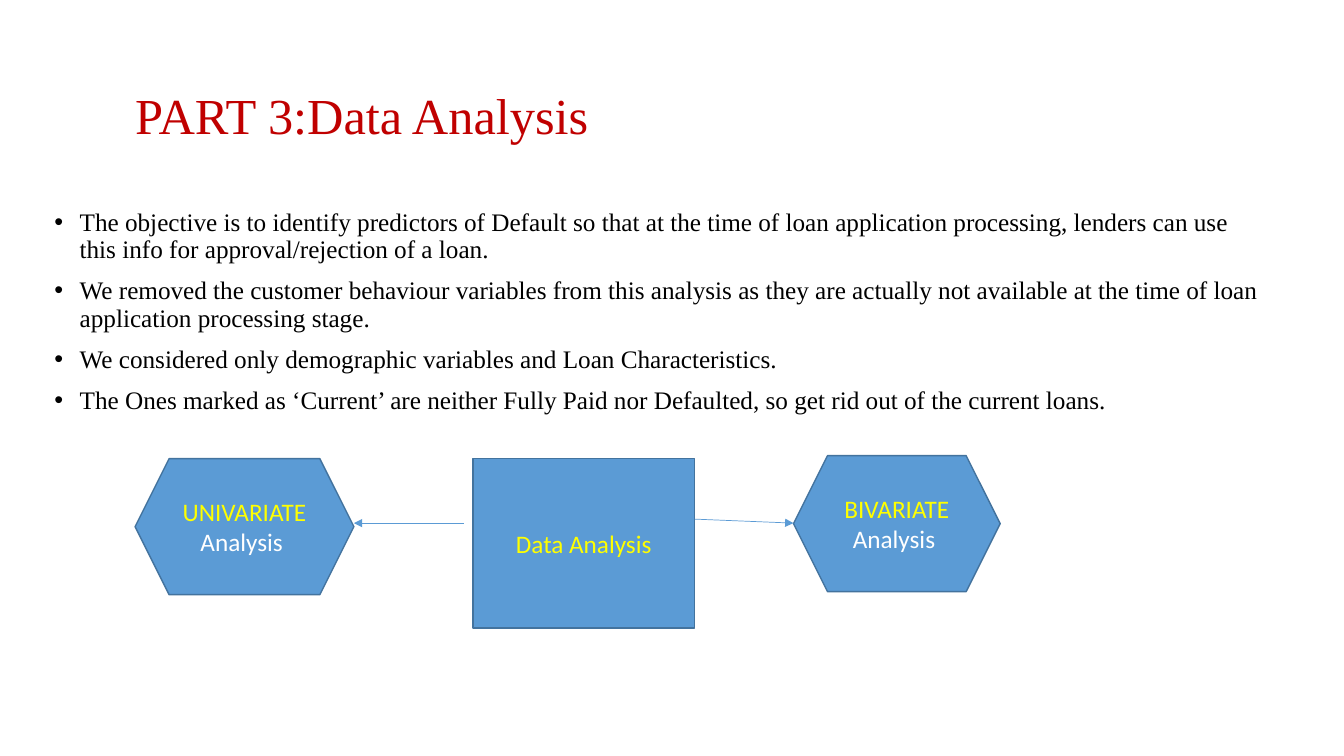
from pptx import Presentation
from pptx.dml.color import RGBColor
from pptx.enum.shapes import MSO_CONNECTOR, MSO_SHAPE
from pptx.enum.text import MSO_ANCHOR, MSO_AUTO_SIZE, PP_ALIGN
from pptx.oxml.ns import qn
from pptx.util import Inches, Pt
from lxml import etree

RECTANGLE, HEXAGON = MSO_SHAPE.RECTANGLE, MSO_SHAPE.HEXAGON
STRAIGHT = MSO_CONNECTOR.STRAIGHT
TOP, MIDDLE = MSO_ANCHOR.TOP, MSO_ANCHOR.MIDDLE
LEFT, CENTER = PP_ALIGN.LEFT, PP_ALIGN.CENTER
NO_AUTOFIT = MSO_AUTO_SIZE.NONE

BLACK = RGBColor(0x00, 0x00, 0x00)
WHITE = RGBColor(0xFF, 0xFF, 0xFF)
RED = RGBColor(0xC0, 0x00, 0x00)
YELLOW = RGBColor(0xFF, 0xFF, 0x00)
BLUE = RGBColor(0x5B, 0x9B, 0xD5)
DARK_BLUE = RGBColor(0x43, 0x73, 0x9E)

BULLETS = [
    "The objective is to identify predictors of Default so that at the time of loan "
    "application processing, lenders can use this info for approval/rejection of a loan.",
    "We removed the customer behaviour variables from this analysis as they are actually "
    "not available at the time of loan application processing stage.",
    "We considered only demographic variables and Loan Characteristics.",
    "The Ones marked as ‘Current’ are neither Fully Paid nor Defaulted, "
    "so get rid out of the current loans.",
]


class AnalysisSlide:
    text_font = "Times New Roman"
    shape_font = "Calibri"
    text_size = 18
    title_size = 36

    def __init__(self, deck):
        self.page = deck.slides.add_slide(deck.slide_layouts[1])

    def format_para(self, para, font, size, color, align):
        para.alignment = align
        for span in para.runs:
            span.font.name = font
            span.font.size = Pt(size)
            span.font.color.rgb = color

    def place(self, box, left, top, width, height, anchor):
        box.left, box.top = Inches(left), Inches(top)
        box.width, box.height = Inches(width), Inches(height)
        box.text_frame.auto_size = NO_AUTOFIT
        box.text_frame.vertical_anchor = anchor

    def title(self, text, *bounds):
        box = self.page.shapes.title
        self.place(box, *bounds, MIDDLE)
        box.text_frame.text = text
        para = box.text_frame.paragraphs[0]
        para.line_spacing = 0.9
        self.format_para(para, self.text_font, self.title_size, RED, LEFT)

    def bullets(self, items, *bounds):
        box = self.page.placeholders[1]
        self.place(box, *bounds, TOP)
        box.text_frame.text = "\n".join(items)
        for para in box.text_frame.paragraphs:
            self.format_para(para, self.text_font, self.text_size, BLACK, LEFT)
            para.line_spacing = 0.9
            para.space_before = Pt(10)
            properties = para._p.get_or_add_pPr()
            properties.set("marL", str(Inches(0.25)))
            properties.set("indent", str(Inches(-0.25)))
            etree.SubElement(properties, qn("a:buChar")).set("char", "•")

    def node(self, kind, lines, left, top, width, height):
        box = self.page.shapes.add_shape(
            kind, Inches(left), Inches(top), Inches(width), Inches(height))
        box.shadow.inherit = False
        box.fill.solid()
        box.fill.fore_color.rgb = BLUE
        box.line.color.rgb = DARK_BLUE
        box.line.width = Pt(1)
        box.text_frame.word_wrap = True
        box.text_frame.vertical_anchor = MIDDLE
        box.text_frame.text = "\n".join(lines)
        for para, color in zip(box.text_frame.paragraphs, (YELLOW, WHITE)):
            self.format_para(para, self.shape_font, self.text_size, color, CENTER)

    def arrow(self, start_x, start_y, end_x, end_y):
        connector = self.page.shapes.add_connector(
            STRAIGHT, Inches(start_x), Inches(start_y), Inches(end_x), Inches(end_y))
        connector.line.color.rgb = BLUE
        connector.line.width = Pt(0.5)
        properties = connector.element.spPr
        outline = properties.find(qn("a:ln"))
        etree.SubElement(outline, qn("a:tailEnd")).set("type", "triangle")
        etree.SubElement(properties, qn("a:effectLst"))


deck = Presentation()
deck.slide_width, deck.slide_height = Inches(13.33), Inches(7.5)

slide = AnalysisSlide(deck)
slide.bullets(BULLETS, 0.44, 2.03, 12.21, 4.75)
slide.title("PART 3:Data Analysis", 1.24, 0.7, 10.19, 0.94)
slide.node(RECTANGLE, ["Data Analysis"], 4.69, 4.55, 2.2, 1.68)
slide.arrow(4.6, 5.19, 3.51, 5.19)
slide.node(HEXAGON, ["UNIVARIATE", "Analysis "], 1.34, 4.55, 2.17, 1.35)
slide.node(HEXAGON, ["BIVARIATE", "Analysis "], 7.87, 4.52, 2.05, 1.35)
slide.arrow(6.89, 5.15, 7.87, 5.19)

deck.save("out.pptx")
